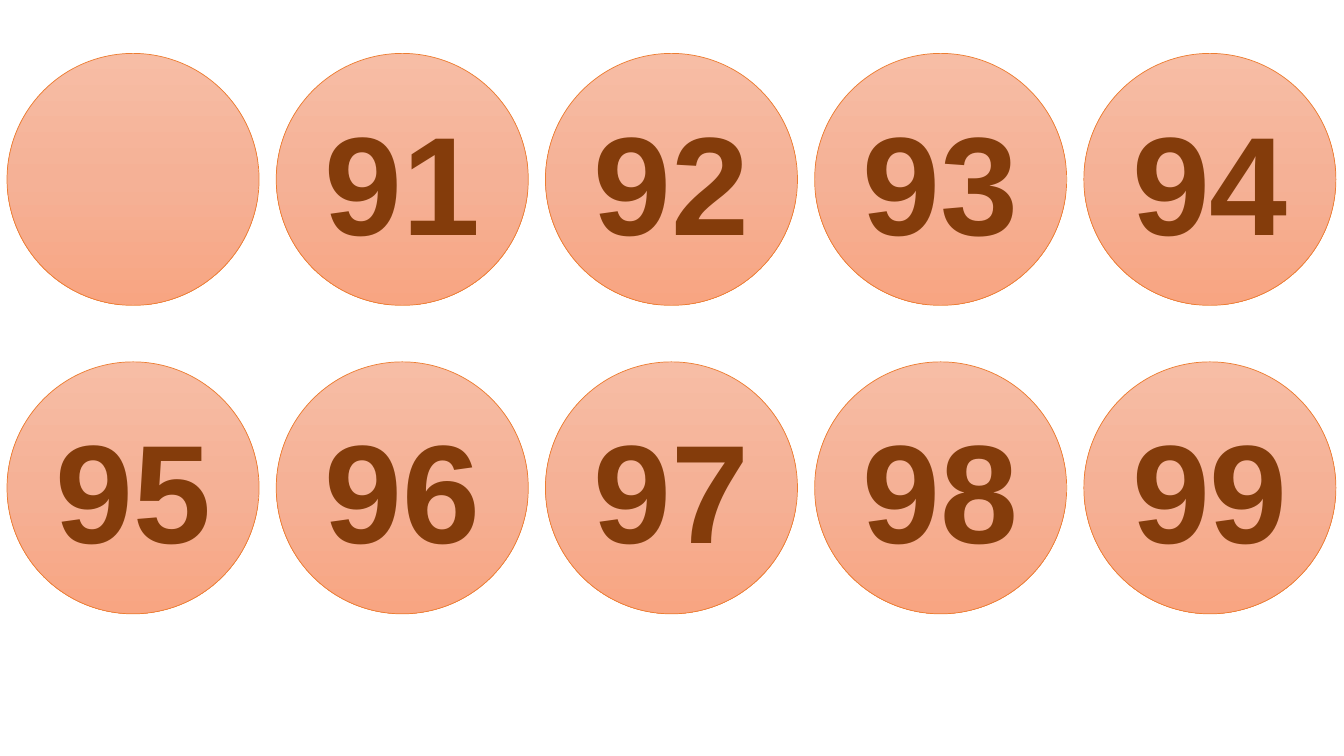
from copy import deepcopy

from pptx import Presentation
from pptx.dml.color import RGBColor
from pptx.enum import shapes, text
from pptx.oxml.ns import qn
from pptx.util import Inches, Pt

COLORS = {
    "top": "F7BDA5",
    "middle": "F5B196",
    "bottom": "F8A582",
    "outline": "ED7D31",
    "number": "843C0B",
}
FONT = "Arial"
COLUMNS = 5
DIAMETER = 2.5
LEFT, TOP = 0.07, 0.53
COLUMN_STEP, ROW_STEP = 2.67, 3.06
NUMBERS = ["", "91", "92", "93", "94", "95", "96", "97", "98", "99"]


def rgb(name):
    return RGBColor.from_string(COLORS[name])


def fill_gradient(sp):
    fill = sp.fill
    fill.gradient()
    fill.gradient_angle = 270
    stops = sp._element.spPr.find(qn("a:gradFill")).find(qn("a:gsLst"))
    stops.insert(1, deepcopy(stops[0]))
    names = ["top", "middle", "bottom"]
    for i, (stop, name) in enumerate(zip(fill.gradient_stops, names)):
        stop.position = i / 2
        stop.color.rgb = rgb(name)


def write_number(sp, number):
    tf = sp.text_frame
    tf.text = number
    tf.vertical_anchor = text.MSO_ANCHOR.MIDDLE
    p = tf.paragraphs[0]
    p.alignment = text.PP_ALIGN.CENTER
    for r in p.runs:
        r.font.name = FONT
        r.font.size = Pt(100)
        r.font.bold = True
        r.font.color.rgb = rgb("number")


def add_circle(s, left, top, number):
    sp = s.shapes.add_shape(
        shapes.MSO_SHAPE.OVAL,
        Inches(left), Inches(top), Inches(DIAMETER), Inches(DIAMETER),
    )
    sp.shadow.inherit = False
    fill_gradient(sp)
    sp.line.color.rgb = rgb("outline")
    sp.line.width = Pt(0.5)
    if number:
        write_number(sp, number)


def main():
    prs = Presentation()
    prs.slide_width = Inches(13.33)
    prs.slide_height = Inches(7.5)
    s = prs.slides.add_slide(prs.slide_layouts[6])
    for i, number in enumerate(NUMBERS):
        row, column = divmod(i, COLUMNS)
        add_circle(s, LEFT + column * COLUMN_STEP, TOP + row * ROW_STEP, number)
    prs.save("out.pptx")


main()
